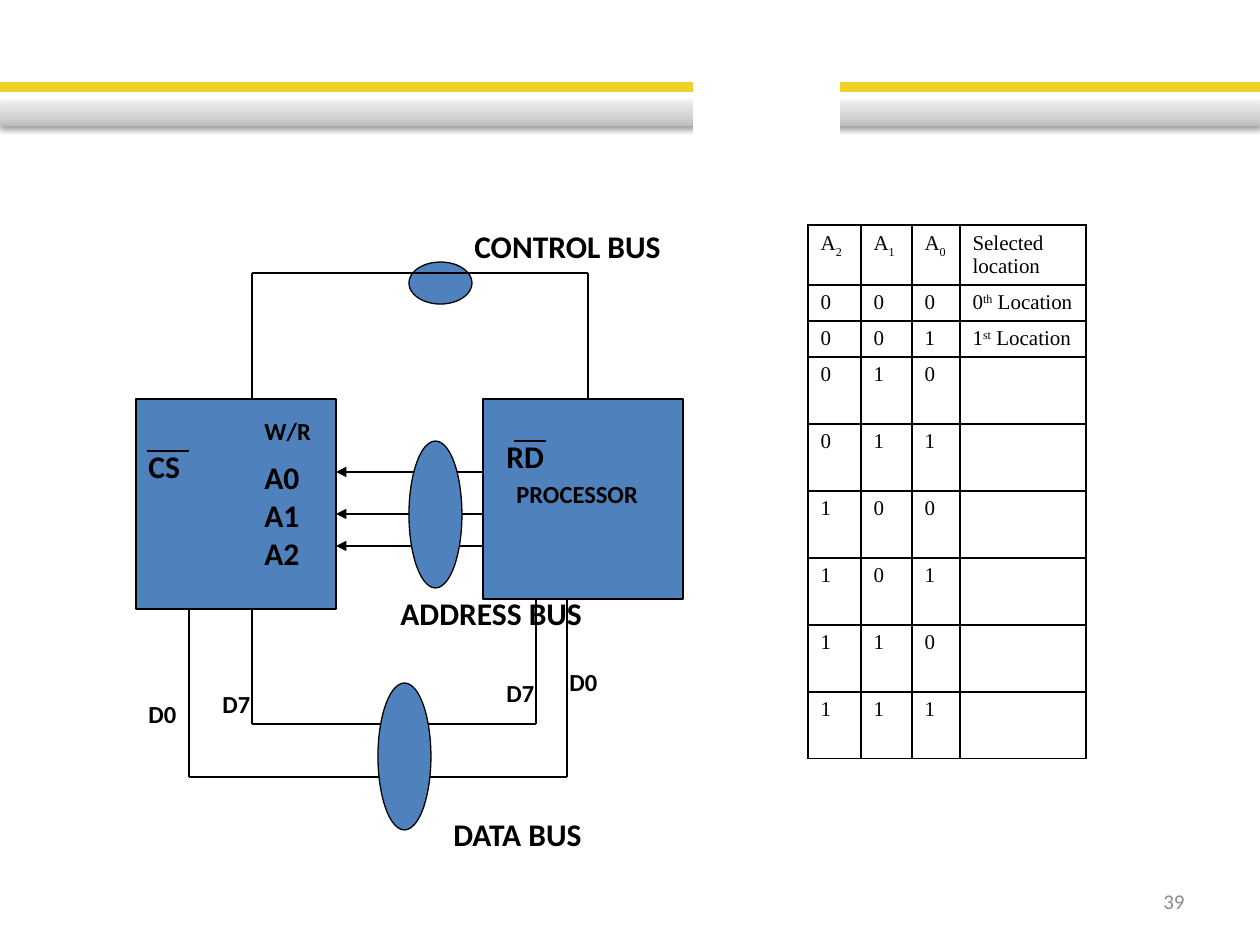
from copy import deepcopy
from lxml import etree
from pptx import Presentation
from pptx.dml.color import RGBColor
from pptx.enum.shapes import MSO_CONNECTOR, MSO_SHAPE
from pptx.enum.text import MSO_ANCHOR, PP_ALIGN
from pptx.oxml import parse_xml
from pptx.oxml.ns import nsdecls, qn
from pptx.util import Pt

RECT, ROUND, OVAL = MSO_SHAPE.RECTANGLE, MSO_SHAPE.ROUNDED_RECTANGLE, MSO_SHAPE.OVAL
STRAIGHT = MSO_CONNECTOR.STRAIGHT
LEFT, RIGHT = PP_ALIGN.LEFT, PP_ALIGN.RIGHT
TOP, MIDDLE = MSO_ANCHOR.TOP, MSO_ANCHOR.MIDDLE
PX = 914400 / 126
BLACK, BLUE, GOLD, WHITE = "000000", "4F81BD", "EED126", "FFFFFF"
color = RGBColor.from_string

deck = Presentation()
deck.slide_width, deck.slide_height = round(1260 * PX), round(945 * PX)
slide = deck.slides.add_slide(deck.slide_layouts[6])
shapes = slide.shapes


def block(kind, box, fill, edge=None, width=0.75):
    shape = shapes.add_shape(kind, *[round(n * PX) for n in box])
    shape.shadow.inherit = False
    shape.fill.solid()
    shape.fill.fore_color.rgb = color(fill)
    if edge:
        shape.line.color.rgb = color(edge)
        shape.line.width = Pt(width)
    else:
        shape.line.fill.background()
    return shape


def wire(points, arrow=False):
    for start, end in zip(points, points[1:]):
        line = shapes.add_connector(STRAIGHT, *[round(n * PX) for n in start + end])
        line.line.color.rgb = color(BLACK)
        line.line.width = Pt(0.75)
        props = line._element.spPr
        if arrow:
            etree.SubElement(props.find(qn("a:ln")), qn("a:tailEnd"), type="triangle")
        etree.SubElement(props, qn("a:effectLst"))


block(RECT, (0, 84, 1260, 6), GOLD, GOLD, 2)
band = block(RECT, (0, 101, 1260, 25), WHITE)
band.fill.gradient()
band.fill.gradient_angle = 90
stops = band._element.spPr.find(qn("a:gradFill")).find(qn("a:gsLst"))
stops.insert(1, deepcopy(stops[0]))
for stop, (spot, tone) in zip(
    band.fill.gradient_stops, [(0, "BDBDBD"), (0.35, "D1D1D1"), (1, "EEEEEE")]
):
    stop.position = spot
    stop.color.rgb = color(tone)
band._element.spPr.find(qn("a:effectLst")).append(parse_xml(
    f'<a:outerShdw {nsdecls("a")} blurRad="39370" dist="20320" dir="5400000" rotWithShape="0">'
    '<a:srgbClr val="000000"><a:alpha val="38000"/></a:srgbClr></a:outerShdw>'
))
block(ROUND, (693, 63, 147, 84), WHITE)

cols = [53, 51, 48, 126]
rows = [60, 36, 36] + [67] * 6
data = [["A|2", "A|1", "A|0", "Selected location"]]
for n in range(8):
    place = {0: "0|th| Location", 1: "1|st| Location"}.get(n, "")
    data.append(list(f"{n:03b}") + [place])
frame = shapes.add_table(
    len(rows), len(cols), *[round(n * PX) for n in (808, 225, sum(cols), sum(rows))]
)
table = frame.table
table.first_row = table.horz_banding = False
for col, width in zip(table.columns, cols):
    col.width = round(width * PX)
for r, (row, high) in enumerate(zip(data, rows)):
    table.rows[r].height = round(high * PX)
    for c, text in enumerate(row):
        cell = table.cell(r, c)
        cell.fill.background()
        for i, part in enumerate(text.split("|") if text else []):
            run = cell.text_frame.paragraphs[0].add_run()
            run.text = part
            run.font.size = Pt(12)
            run.font.name = "Times New Roman"
            run.font.color.rgb = color(BLACK)
            if i == 1:
                run._r.get_or_add_rPr().set("baseline", "30000" if r else "-30000")
        props = cell._tc.get_or_add_tcPr()
        for i, side in enumerate(["lnL", "lnR", "lnT", "lnB"]):
            props.insert(i, parse_xml(
                f'<a:{side} {nsdecls("a")} w="12700"><a:solidFill>'
                f'<a:srgbClr val="{BLACK}"/></a:solidFill></a:{side}>'
            ))

block(RECT, (136, 399, 200, 210), BLUE, BLACK)
block(RECT, (483, 399, 200, 200), BLUE, BLACK)
wire([(189, 609), (189, 777), (567, 777), (567, 599)])
wire([(252, 609), (252, 724), (536, 724), (536, 599)])
wire([(514, 441), (546, 441)])
wire([(147, 451), (189, 451)])
for y in (472, 514, 546):
    wire([(483, y), (336, y)], arrow=True)
for box in [(409, 441, 53, 147), (378, 683, 53, 147), (409, 262, 63, 42)]:
    block(OVAL, box, BLUE, BLACK)
wire([(588, 399), (588, 273), (252, 273), (252, 399)])

labels = [
    ("D0", 557, 661, 63, 42, 14),
    ("D0", 136, 693, 63, 42, 14),
    ("D7", 210, 683, 63, 42, 14),
    ("D7", 494, 672, 63, 42, 14),
    ("PROCESSOR", 504, 473, 262, 42, 14),
    ("RD", 494, 431, 84, 50, 18),
    ("CS", 136, 441, 84, 50, 18),
    ("W/R", 252, 410, 95, 42, 14),
    ("A0\nA1\nA2", 252, 452, 73, 126, 18),
    ("CONTROL BUS", 462, 221, 305, 50, 18),
    ("ADDRESS BUS", 388, 588, 273, 50, 18),
    ("DATA BUS", 441, 809, 199, 50, 18),
    ("39", 903, 876, 294, 50, 12),
]
for text, *box, size in labels:
    page = text == "39"
    body = shapes.add_textbox(*[round(n * PX) for n in box]).text_frame
    body.word_wrap = True
    body.vertical_anchor = MIDDLE if page else TOP
    body.text = text
    for para in body.paragraphs:
        para.alignment = RIGHT if page else LEFT
        font = para.runs[0].font
        font.name = "Calibri"
        font.size = Pt(size)
        font.bold = not page
        font.color.rgb = color("8C8C8C" if page else BLACK)

deck.save("out.pptx")
